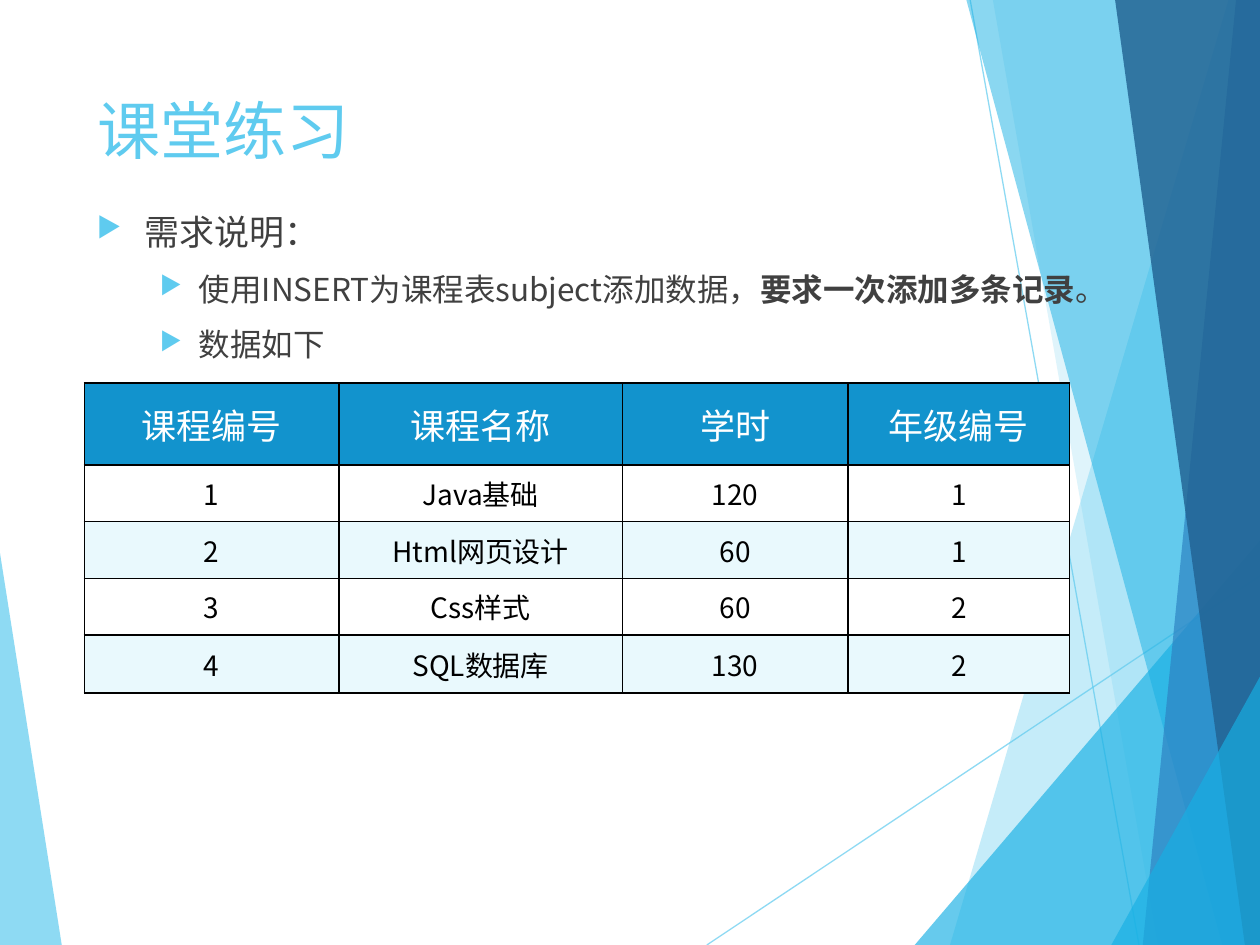
from lxml.etree import SubElement
from pptx import Presentation
from pptx.dml.color import RGBColor
from pptx.enum.text import MSO_ANCHOR, PP_ALIGN
from pptx.oxml import parse_xml
from pptx.oxml.ns import nsdecls, qn
from pptx.util import Inches, Pt

FONT = "Noto Sans CJK SC"
SKY, CYAN, BLUE, NAVY = "5FCBEF", "17B0E4", "2E83C3", "226292"
HEAD, PALE, WHITE, BLACK, GREY = "1293CD", "E9F9FD", "FFFFFF", "000000", "404040"

FACETS = [
    (SKY, 70, [(0, 4.39), (0.49, 7.5), (0, 7.5)]),
    (SKY, 36, [(9.75, 0), (7.54, 7.5), (10, 7.5), (10, 0)]),
    (SKY, 20, [(7.88, 0), (9.19, 7.5), (10, 7.5), (10, 0)]),
    (CYAN, 66, [(7.26, 7.5), (10, 4.29), (10, 7.5)]),
    (CYAN, 50, [(7.67, 0), (9.7, 7.5), (10, 7.5), (10, 0)]),
    (BLUE, 70, [(9.81, 0), (9.07, 7.5), (10, 7.5), (10, 0)]),
    (NAVY, 82, [(8.85, 0), (9.88, 7.5), (10, 7.5), (10, 0)]),
    (CYAN, 66, [(8.82, 7.5), (10, 5.37), (10, 7.5)]),
]
RAYS = [((5.61, 7.5), (10, 4.57)), ((7.7, 0), (9.04, 7.5))]
POINTS = [
    (0, 20, [("需求说明：", False)]),
    (1, 18, [("使用INSERT为课程表subject添加数据，", False),
             ("要求一次添加多条记录", True), ("。", False)]),
    (1, 18, [("数据如下", False)]),
]
INDENTS = [(0.38, -0.38), (0.81, -0.31)]
ROWS = [
    ("课程编号", "课程名称", "学时", "年级编号"),
    ("1", "Java基础", "120", "1"),
    ("2", "Html网页设计", "60", "1"),
    ("3", "Css样式", "60", "2"),
    ("4", "SQL数据库", "130", "2"),
]
WIDTHS = [2.02, 2.25, 1.79, 1.76]
HEIGHTS = [0.65, 0.45, 0.45, 0.45, 0.46]


def tint(color, hue, alpha=100):
    """Set a colour format to a hex colour with an opacity in percent."""
    color.rgb = RGBColor.from_string(hue)
    if alpha < 100:
        node = color._xFill.find(qn("a:srgbClr"))
        SubElement(node, qn("a:alpha"), val=str(alpha * 1000))


def paint(fill, hue, alpha=100):
    """Fill with one solid colour."""
    fill.solid()
    tint(fill.fore_color, hue, alpha)


def style(item, **values):
    """Set each given value on an object."""
    for key, value in values.items():
        setattr(item, key, value)


def write(para, text, size, hue, bold=False):
    """Add a styled run to a paragraph."""
    run = para.add_run()
    run.text = text
    style(run.font, name=FONT, size=Pt(size), bold=bold)
    tint(run.font.color, hue)
    SubElement(run.font._element, qn("a:ea"), typeface=FONT)


def add_facet(slide, box, hue, alpha, spots):
    """Draw one see-through polygon."""
    left, top = box[:2]
    spots = [(Inches(left + x), Inches(top + y)) for x, y in spots]
    form = slide.shapes.build_freeform(*spots[0], scale=1.0)
    form.add_line_segments(spots[1:], close=True)
    shape = form.convert_to_shape()
    shape.shadow.inherit = False
    shape.line.fill.background()
    paint(shape.fill, hue, alpha)


def add_ray(slide, box, start, end):
    """Draw one thin slanted line."""
    left, top = box[:2]
    ends = [Inches(a + b) for spot in (start, end) for a, b in zip((left, top), spot)]
    line = slide.shapes.add_connector(1, *ends)
    line.line.width = Pt(0.75)
    paint(line.line.fill, SKY, 70)
    SubElement(line._element.spPr, qn("a:effectLst"))


def add_decor(slide, box):
    """Lay the rays and facets behind the content."""
    add_facet(slide, box, *FACETS[0])
    for start, end in RAYS:
        add_ray(slide, box, start, end)
    for facet in FACETS[1:]:
        add_facet(slide, box, *facet)


def add_title(slide, box):
    """Place and fill the title."""
    title = slide.shapes.title
    style(title, **dict(zip(("left", "top", "width", "height"), map(Inches, box))))
    frame = title.text_frame
    style(frame, word_wrap=True, vertical_anchor=MSO_ANCHOR.MIDDLE)
    para = frame.paragraphs[0]
    para.alignment = PP_ALIGN.LEFT
    write(para, "课堂练习", 36, SKY)
    tree = slide.shapes._spTree
    tree.remove(title._element)
    tree.append(title._element)


def add_points(slide, box):
    """Write the bulleted points."""
    frame = slide.shapes.add_textbox(*map(Inches, box)).text_frame
    frame.word_wrap = True
    for rank, (level, size, runs) in enumerate(POINTS):
        para = frame.add_paragraph() if rank else frame.paragraphs[0]
        style(para, level=level, space_before=Pt(10))
        props = para._p.get_or_add_pPr()
        for key, value in zip(("marL", "indent"), INDENTS[level]):
            props.set(key, str(Inches(value)))
        color = SubElement(props, qn("a:buClr"))
        SubElement(color, qn("a:srgbClr"), val=SKY)
        SubElement(props, qn("a:buSzPct"), val="80000")
        SubElement(props, qn("a:buChar"), char="▶")
        for text, bold in runs:
            write(para, text, size, GREY, bold)


def edge(cell):
    """Draw a black border on all sides of a cell."""
    for rank, side in enumerate("LRTB"):
        cell._tc.get_or_add_tcPr().insert(rank, parse_xml(
            f'<a:ln{side} {nsdecls("a")} w="12700"><a:solidFill>'
            f'<a:srgbClr val="{BLACK}"/></a:solidFill></a:ln{side}>'))


def add_grid(slide, box):
    """Build the course table."""
    table = slide.shapes.add_table(len(ROWS), len(WIDTHS), *map(Inches, box)).table
    for col, width in zip(table.columns, WIDTHS):
        col.width = Inches(width)
    for r, (row, high) in enumerate(zip(ROWS, HEIGHTS)):
        table.rows[r].height = Inches(high)
        size, ink = (16, BLACK) if r else (20, WHITE)
        back = (WHITE if r % 2 else PALE) if r else HEAD
        for c, text in enumerate(row):
            cell = table.cell(r, c)
            style(cell, vertical_anchor=MSO_ANCHOR.MIDDLE, margin_left=0,
                  margin_right=0, margin_top=0, margin_bottom=0)
            paint(cell.fill, back)
            edge(cell)
            para = cell.text_frame.paragraphs[0]
            style(para, alignment=PP_ALIGN.CENTER, space_before=Pt(size * 0.2))
            write(para, text, size, ink)


def main():
    """Build and save the slide."""
    deck = Presentation()
    style(deck, slide_width=Inches(10), slide_height=Inches(7.5))
    slide = deck.slides.add_slide(deck.slide_layouts[5])
    add_decor(slide, (0, 0, 10, 7.5))
    add_title(slide, (0.67, 0.67, 8.43, 0.71))
    add_points(slide, (0.67, 1.62, 8.43, 4.82))
    add_grid(slide, (0.67, 3.04, sum(WIDTHS), sum(HEIGHTS)))
    deck.save("out.pptx")


main()
